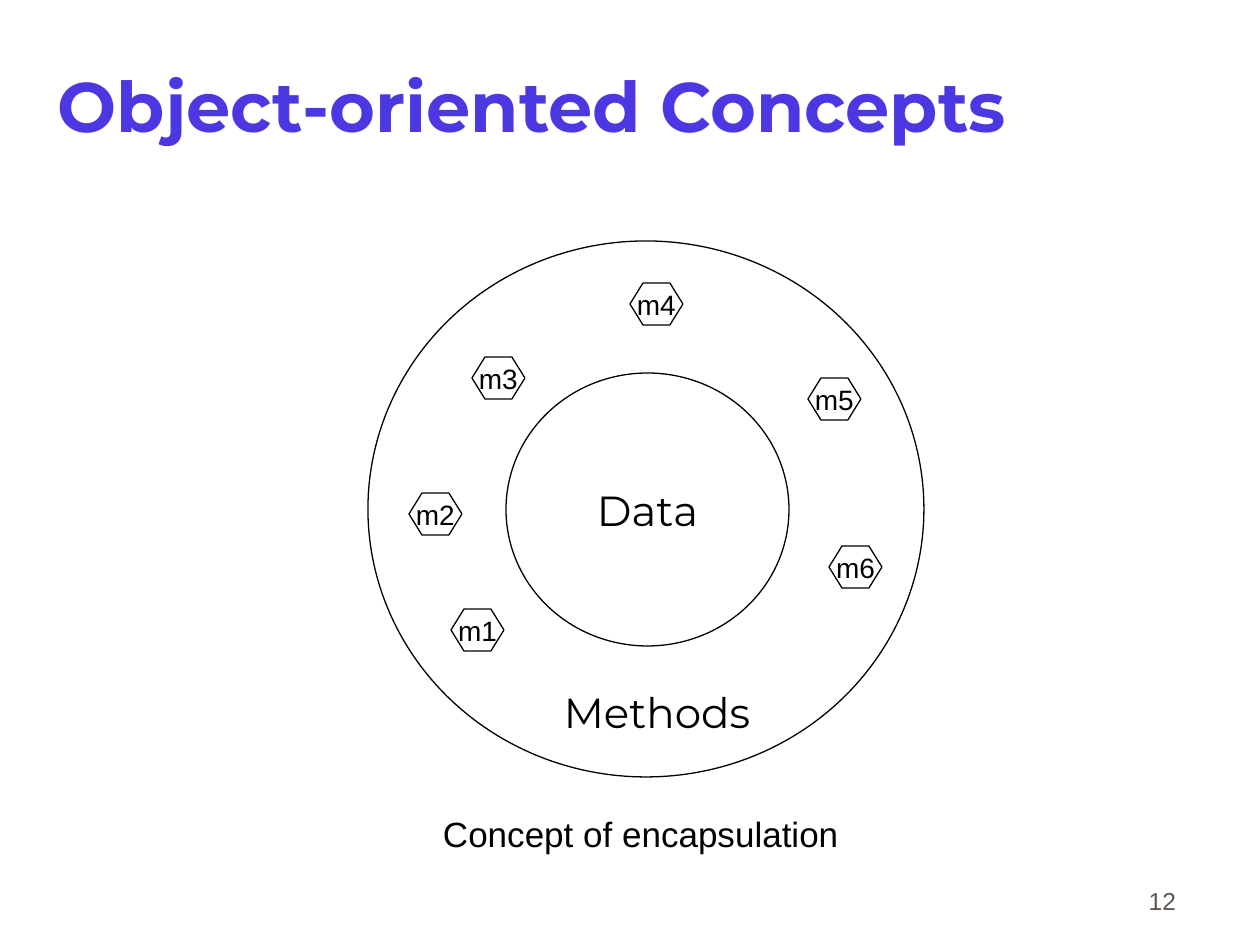
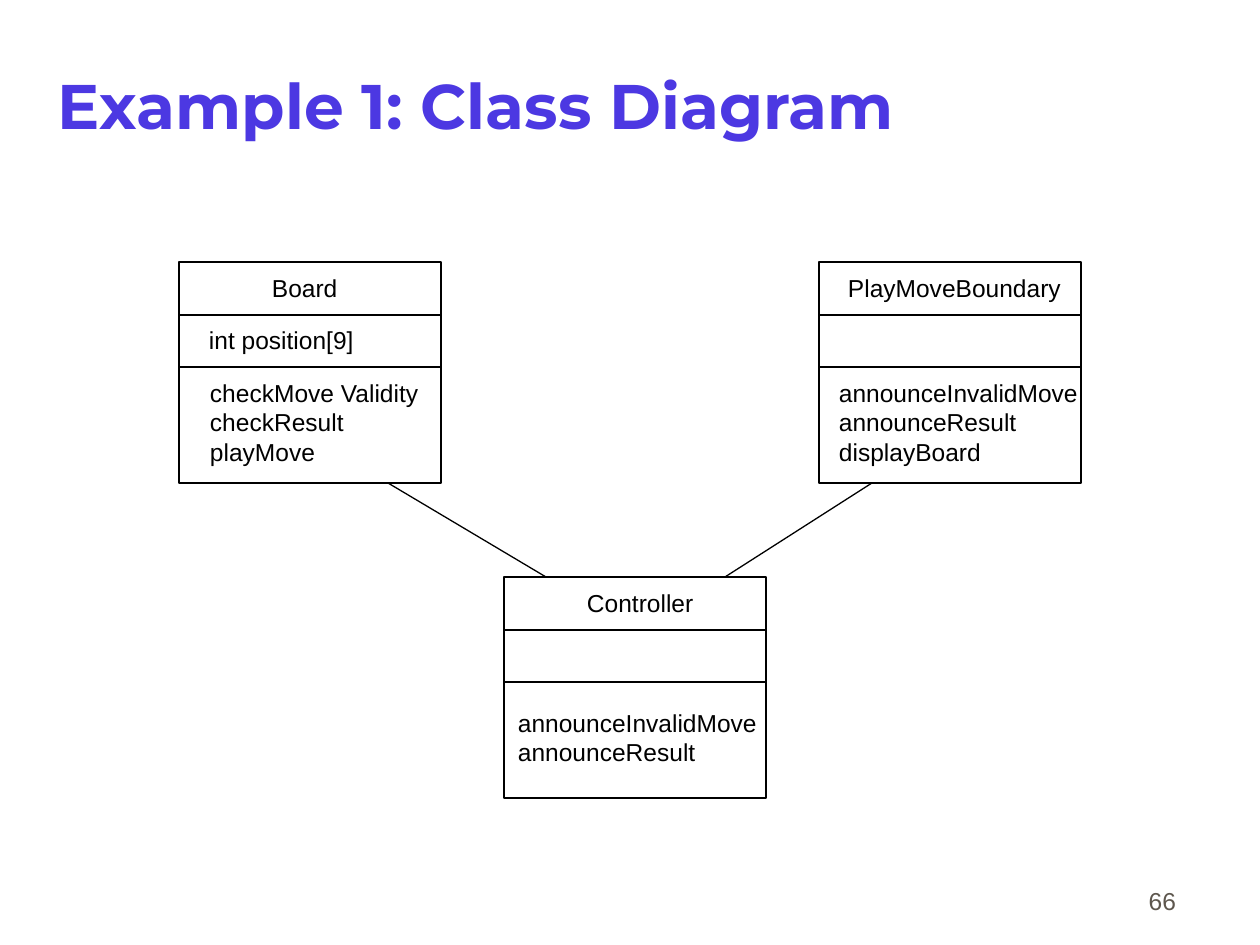
from dataclasses import dataclass

from lxml import etree
from pptx import Presentation
from pptx.dml.color import RGBColor
from pptx.enum.shapes import MSO_CONNECTOR, MSO_SHAPE
from pptx.enum.text import MSO_ANCHOR, MSO_AUTO_SIZE, PP_ALIGN
from pptx.oxml.ns import qn
from pptx.shapes.autoshape import Shape
from pptx.slide import Slide
from pptx.text.text import TextFrame
from pptx.util import Emu, Pt

PX_PER_INCH = 126
EMU_PER_PX = 914400 / PX_PER_INCH
COLORS = {"title": "4C38E2", "ink": "000000", "page": "5E574E"}
HEADING_FONT, BODY_FONT = "Montserrat", "Arial"
OVAL, HEXAGON, RECTANGLE = MSO_SHAPE.OVAL, MSO_SHAPE.HEXAGON, MSO_SHAPE.RECTANGLE
STRAIGHT = MSO_CONNECTOR.STRAIGHT
LEFT, CENTER, RIGHT = PP_ALIGN.LEFT, PP_ALIGN.CENTER, PP_ALIGN.RIGHT
TOP, MIDDLE, BOTTOM = MSO_ANCHOR.TOP, MSO_ANCHOR.MIDDLE, MSO_ANCHOR.BOTTOM
NO_AUTO_SIZE = MSO_AUTO_SIZE.NONE
TITLE_ONLY = 5
LINE_WIDTH = Pt(0.75)
CLASS_WIDTH, CLASS_HEIGHT = 262, 221
DIVIDERS = (53, 105)
LINE_HEIGHT = 29


@dataclass(frozen=True)
class Box:
    left: int
    top: int
    width: int
    height: int

    def emu(self) -> tuple[Emu, ...]:
        return tuple(px(n) for n in (self.left, self.top, self.width, self.height))


@dataclass(frozen=True)
class TextStyle:
    size: int
    font: str = BODY_FONT
    color: str = "ink"
    bold: bool = False
    align: PP_ALIGN = LEFT
    anchor: MSO_ANCHOR = TOP
    inset: tuple[int, int] = (0, 0)
    wrap: bool = False


@dataclass(frozen=True)
class Label:
    text: str
    left: int
    top: int
    width: int


@dataclass(frozen=True)
class ClassBox:
    left: int
    top: int
    labels: tuple[Label, ...]


@dataclass(frozen=True)
class Method:
    name: str
    left: int
    top: int


PAGE_STYLE = TextStyle(14, color="page", align=RIGHT, anchor=BOTTOM, inset=(13, 6), wrap=True)
RING_STYLE = TextStyle(24, HEADING_FONT, align=CENTER, anchor=MIDDLE, inset=(13, 6))
METHOD_STYLE = TextStyle(16, align=CENTER, anchor=MIDDLE)
CAPTION_STYLE = TextStyle(20, inset=(13, 6))
CLASS_STYLE = TextStyle(14)

METHODS = (
    Method("m3", 472, 357),
    Method("m2", 409, 493),
    Method("m1", 451, 609),
    Method("m4", 630, 283),
    Method("m5", 808, 378),
    Method("m6", 829, 546),
)

CLASSES = (
    ClassBox(179, 262, (
        Label("Board", 93, 11, 66),
        Label("int position[9]", 30, 63, 145),
        Label("checkMove Validity\ncheckResult\nplayMove", 31, 116, 210),
    )),
    ClassBox(504, 577, (
        Label("Controller", 83, 11, 107),
        Label("announceInvalidMove\nannounceResult", 14, 131, 239),
    )),
    ClassBox(819, 262, (
        Label("PlayMoveBoundary", 29, 11, 213),
        Label("announceInvalidMove\nannounceResult\ndisplayBoard", 20, 116, 239),
    )),
)

ASSOCIATIONS = ((388, 483, 546, 577), (872, 483, 725, 577))


def px(length: int) -> Emu:
    return Emu(round(length * EMU_PER_PX))


def color(name: str) -> RGBColor:
    return RGBColor.from_string(COLORS[name])


def write(frame: TextFrame, text: str, style: TextStyle) -> None:
    frame.text = text
    frame.auto_size = NO_AUTO_SIZE
    frame.word_wrap = style.wrap
    frame.vertical_anchor = style.anchor
    frame.margin_left = frame.margin_right = px(style.inset[0])
    frame.margin_top = frame.margin_bottom = px(style.inset[1])
    for paragraph in frame.paragraphs:
        paragraph.alignment = style.align
        paragraph.font.name = style.font
        paragraph.font.size = Pt(style.size)
        paragraph.font.bold = style.bold
        paragraph.font.color.rgb = color(style.color)


def add_text(slide: Slide, box: Box, text: str, style: TextStyle) -> None:
    write(slide.shapes.add_textbox(*box.emu()).text_frame, text, style)


def add_outline(slide: Slide, kind: MSO_SHAPE, box: Box) -> Shape:
    shape = slide.shapes.add_shape(kind, *box.emu())
    shape.shadow.inherit = False
    shape.fill.background()
    shape.line.color.rgb = color("ink")
    shape.line.width = LINE_WIDTH
    return shape


def add_line(slide: Slide, x1: int, y1: int, x2: int, y2: int) -> None:
    connector = slide.shapes.add_connector(STRAIGHT, px(x1), px(y1), px(x2), px(y2))
    connector.line.color.rgb = color("ink")
    connector.line.width = LINE_WIDTH
    etree.SubElement(connector._element.spPr, qn("a:effectLst"))


def add_slide(presentation: Presentation, title: str, title_size: int, page: str) -> Slide:
    slide = presentation.slides.add_slide(presentation.slide_layouts[TITLE_ONLY])
    heading = slide.shapes.title
    heading.left, heading.top, heading.width, heading.height = Box(55, 24, 1071, 160).emu()
    write(heading.text_frame, title, TextStyle(
        title_size, HEADING_FONT, "title", True, anchor=MIDDLE, inset=(3, 6), wrap=True))
    add_text(slide, Box(927, 858, 262, 63), page, PAGE_STYLE)
    return slide


def add_class(slide: Slide, item: ClassBox) -> None:
    add_outline(slide, RECTANGLE, Box(item.left, item.top, CLASS_WIDTH, CLASS_HEIGHT))
    for offset in DIVIDERS:
        y = item.top + offset
        add_line(slide, item.left, y, item.left + CLASS_WIDTH, y)
    for label in item.labels:
        height = LINE_HEIGHT * len(label.text.splitlines())
        box = Box(item.left + label.left, item.top + label.top, label.width, height)
        add_text(slide, box, label.text, CLASS_STYLE)


def build_encapsulation(presentation: Presentation) -> None:
    slide = add_slide(presentation, "Object-oriented Concepts", 40, "12")
    add_outline(slide, OVAL, Box(368, 241, 556, 536))
    data = add_outline(slide, OVAL, Box(506, 373, 283, 273))
    write(data.text_frame, "Data", RING_STYLE)
    add_text(slide, Box(552, 682, 210, 60), "Methods", RING_STYLE)
    for method in METHODS:
        hexagon = add_outline(slide, HEXAGON, Box(method.left, method.top, 53, 42))
        hexagon.adjustments[0] = 0.31
        write(hexagon.text_frame, method.name, METHOD_STYLE)
    add_text(slide, Box(430, 806, 421, 55), "Concept of encapsulation", CAPTION_STYLE)


def build_class_diagram(presentation: Presentation) -> None:
    slide = add_slide(presentation, "Example 1: Class Diagram", 36, "66")
    for item in CLASSES:
        add_class(slide, item)
    for association in ASSOCIATIONS:
        add_line(slide, *association)


def main() -> None:
    presentation = Presentation()
    presentation.slide_width, presentation.slide_height = px(1260), px(945)
    build_encapsulation(presentation)
    build_class_diagram(presentation)
    presentation.save("out.pptx")


if __name__ == "__main__":
    main()
